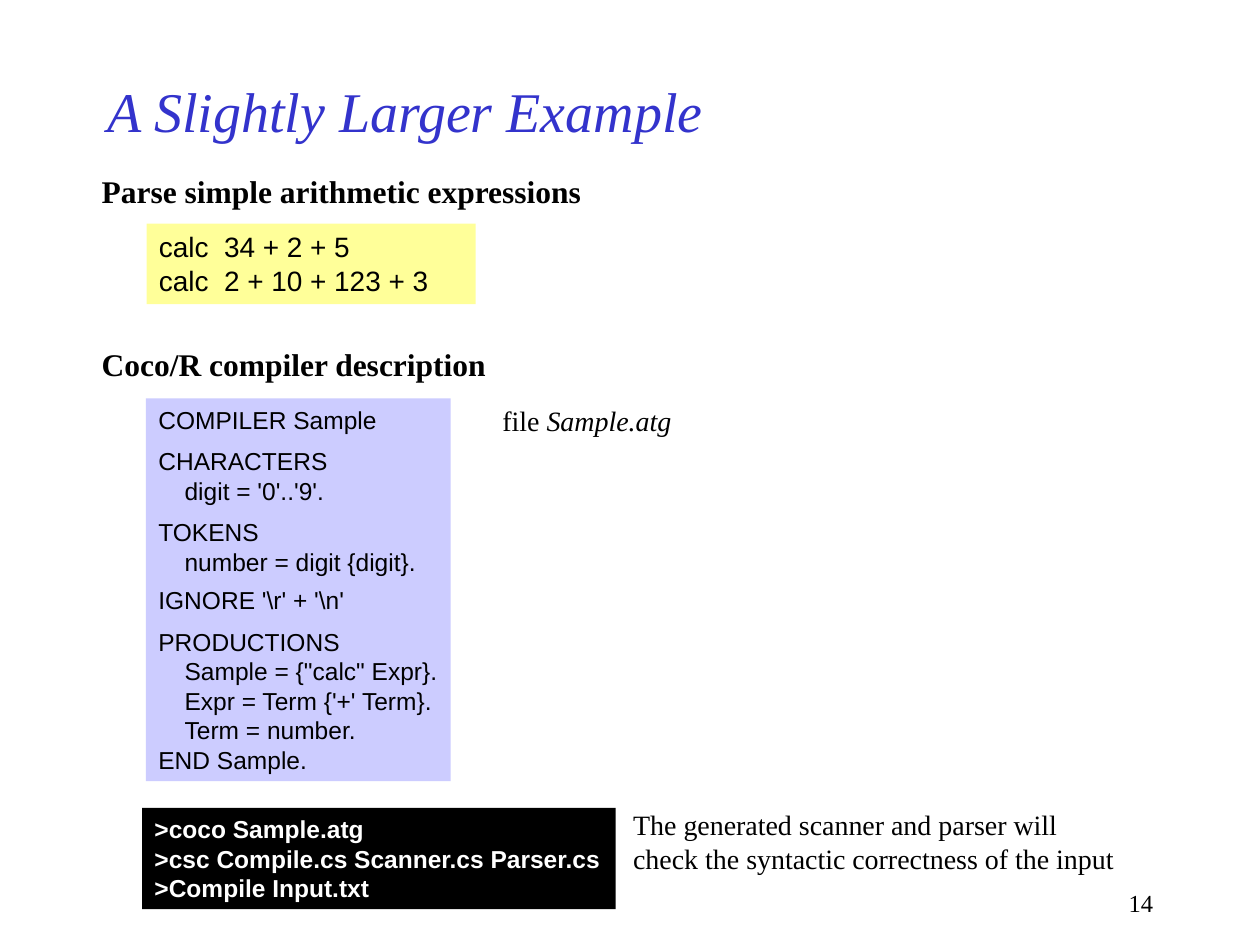
from lxml.etree import SubElement
from pptx import Presentation
from pptx.dml.color import RGBColor
from pptx.enum.shapes import MSO_SHAPE
from pptx.enum.text import MSO_ANCHOR, MSO_AUTO_SIZE, PP_ALIGN
from pptx.oxml.ns import qn
from pptx.util import Pt

COLORS = {"title": "3333CC", "text": "000000", "input": "FFFF99",
          "grammar": "CCCCFF", "console": "000000", "console text": "FFFFFF"}
SERIF, SANS = "Times New Roman", "Arial"
CODE_TAB = 15

prs = Presentation()
prs.slide_width, prs.slide_height = Pt(720), Pt(540)
s = prs.slides.add_slide(prs.slide_layouts[5])


def add_line(p, text, size, font, color="text", bold=False, italic=False):
    r = p.add_run()
    r.text = text
    r.font.size, r.font.name = Pt(size), font
    r.font.bold, r.font.italic = bold, italic
    r.font.color.rgb = RGBColor.from_string(COLORS[color])


def add_box(left, top, width, height, lines, size, font, fill=None, **style):
    """Add a text box, or a filled rectangle, from (space before, text) lines."""
    at = Pt(left), Pt(top), Pt(width), Pt(height)
    if fill:
        sp = s.shapes.add_shape(MSO_SHAPE.RECTANGLE, *at)
        sp.shadow.inherit = False
        sp.fill.solid()
        sp.fill.fore_color.rgb = RGBColor.from_string(COLORS[fill])
        sp.line.fill.background()
    else:
        sp = s.shapes.add_textbox(*at)
    tf = sp.text_frame
    tf.word_wrap = False
    tf.vertical_anchor = MSO_ANCHOR.TOP
    for i, (before, text) in enumerate(lines):
        p = tf.add_paragraph() if i else tf.paragraphs[0]
        p.alignment = PP_ALIGN.LEFT
        if before:
            p.space_before = Pt(before)
        if text.startswith("\t"):
            tabs = SubElement(p._p.get_or_add_pPr(), qn("a:tabLst"))
            SubElement(tabs, qn("a:tab"), pos=str(Pt(CODE_TAB)), algn="l")
        add_line(p, text, size, font, **style)
    return tf


# Title
title = s.shapes.title
title.left, title.top, title.width, title.height = Pt(54), Pt(36), Pt(540), Pt(54)
tf = title.text_frame
tf.auto_size = MSO_AUTO_SIZE.NONE
tf.vertical_anchor = MSO_ANCHOR.MIDDLE
p = tf.paragraphs[0]
p.alignment = PP_ALIGN.LEFT
add_line(p, "A Slightly Larger Example", 32, SERIF, "title", italic=True)

# Headings
for top, width, heading in [(95, 289, "Parse simple arithmetic expressions"),
                            (193.7, 234, "Coco/R compiler description")]:
    add_box(51, top, width, 29, [(0, heading)], 18, SERIF, bold=True)

# Sample input
add_box(83.8, 127.8, 188, 46,
        [(0, "calc  34 + 2 + 5"), (0, "calc  2 + 10 + 123 + 3")],
        16, SANS, "input")

# Compiler description
grammar = [
    (0, "COMPILER Sample"),
    (7, "CHARACTERS"),
    (0, "\tdigit = '0'..'9'."),
    (7, "TOKENS"),
    (0, "\tnumber = digit {digit}."),
    (5.2, "IGNORE '\\r' + '\\n'"),
    (7, "PRODUCTIONS"),
    (0, "\tSample = {\"calc\" Expr}."),
    (0, "\tExpr = Term {'+' Term}."),
    (0, "\tTerm = number."),
    (0, "END Sample."),
]
add_box(83.4, 227.7, 174.2, 218.7, grammar, 14, SANS, "grammar")
tf = add_box(280, 227, 111, 26.6, [(0, "file ")], 16, SERIF)
add_line(tf.paragraphs[0], "Sample.atg", 16, SERIF, italic=True)

# Running the generated compiler
add_box(354.7, 458, 289, 46,
        [(0, "The generated scanner and parser will"),
         (0, "check the syntactic correctness of the input")], 16, SERIF)
add_box(81.2, 461.7, 270.6, 57.8,
        [(0, ">coco Sample.atg"),
         (0, ">csc Compile.cs Scanner.cs Parser.cs"),
         (0, ">Compile Input.txt")],
        14, SANS, "console", color="console text", bold=True)

# Page number
tf = add_box(516, 504, 150, 24, [(0, "14")], 14, SERIF)
tf.word_wrap = True
tf.paragraphs[0].alignment = PP_ALIGN.RIGHT

prs.save("out.pptx")
